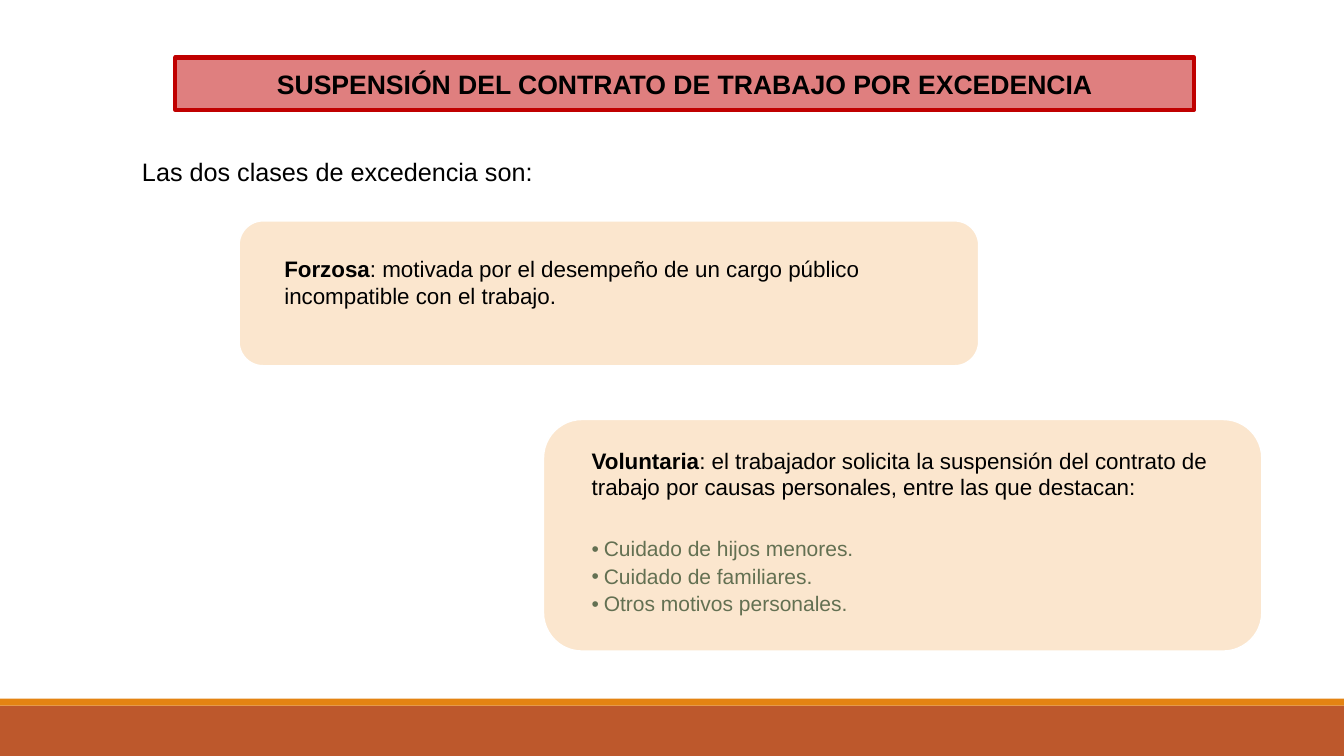
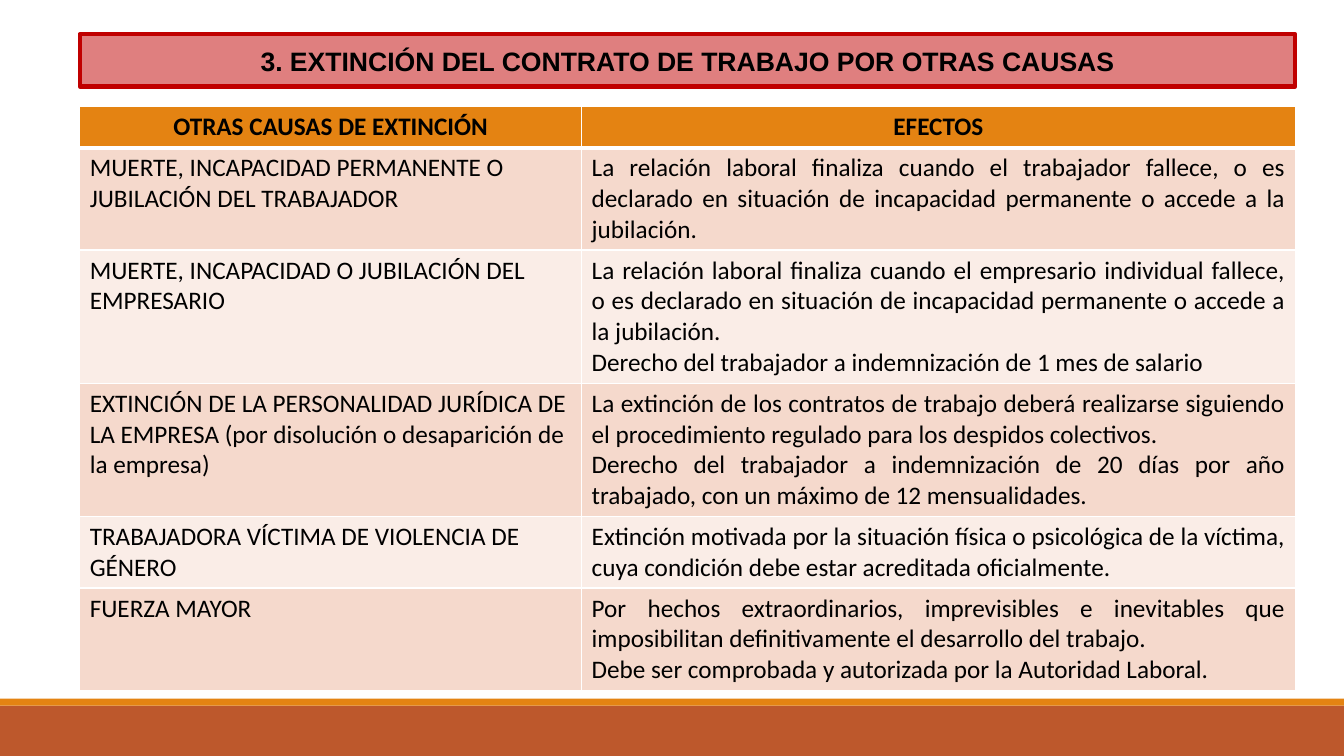
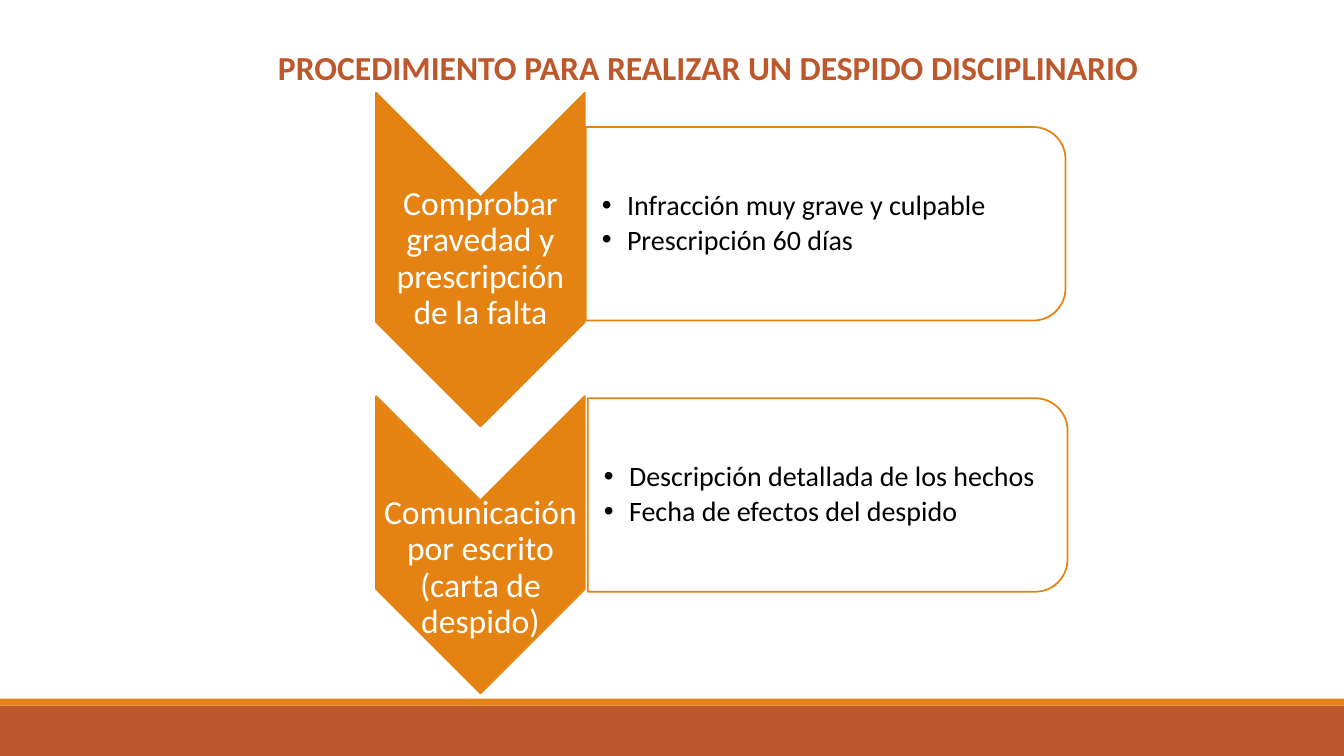
from dataclasses import dataclass

from lxml.etree import SubElement
from pptx import Presentation
from pptx.dml.color import RGBColor
from pptx.enum.shapes import MSO_SHAPE as Preset
from pptx.enum.text import MSO_ANCHOR as Anchor, MSO_AUTO_SIZE as AutoSize, PP_ALIGN as Align
from pptx.oxml import parse_xml
from pptx.oxml.ns import nsdecls, qn
from pptx.util import Emu, Inches, Pt

BLACK = RGBColor(0x00, 0x00, 0x00)
WHITE = RGBColor(0xFF, 0xFF, 0xFF)
ORANGE = RGBColor(0xE4, 0x83, 0x12)
RUST = RGBColor(0xBD, 0x58, 0x2C)
RED = RGBColor(0xC0, 0x00, 0x00)
CREAM = RGBColor(0xFB, 0xE6, 0xCE)
GREEN = RGBColor(0x63, 0x70, 0x52)
ROW_DARK = RGBColor(0xF5, 0xD9, 0xCC)
ROW_LIGHT = RGBColor(0xFA, 0xED, 0xE7)

SLIDE_WIDTH = Inches(13.333)
SLIDE_HEIGHT = Inches(7.5)
TWO_CONTENT, TITLE_ONLY = 3, 5
LINE_SHARE, PADDING_SHARE = 4, 1.33


def across(share: float) -> Emu:
    return Emu(round(SLIDE_WIDTH * share / 100))


def down(share: float) -> Emu:
    return Emu(round(SLIDE_HEIGHT * share / 100))


@dataclass(frozen=True)
class Area:
    """Percentages of the slide's width and height."""
    left: float
    top: float
    width: float
    height: float

    def box(self) -> tuple:
        return across(self.left), down(self.top), across(self.width), down(self.height)


@dataclass(frozen=True)
class Cause:
    name: str
    effects: tuple[str, ...]
    lines: int


@dataclass(frozen=True)
class Step:
    arrow: Area
    label_area: Area
    label: str
    panel: Area
    points: tuple[str, ...]


BANDS = ((Area(0, 93.33, 100, 6.67), RUST), (Area(0, 92.4, 100, 0.93), ORANGE))

CAUSES = (
    Cause("MUERTE, INCAPACIDAD PERMANENTE O JUBILACIÓN DEL TRABAJADOR",
          ("La relación laboral finaliza cuando el trabajador fallece, o es declarado en situación "
           "de incapacidad permanente o accede a la jubilación.",), 3),
    Cause("MUERTE, INCAPACIDAD O JUBILACIÓN DEL EMPRESARIO",
          ("La relación laboral finaliza cuando el empresario individual fallece, o es declarado en "
           "situación de incapacidad permanente o accede a la jubilación.",
           "Derecho del trabajador a indemnización de 1 mes de salario"), 4),
    Cause("EXTINCIÓN DE LA PERSONALIDAD JURÍDICA DE LA EMPRESA (por disolución o desaparición de la empresa)",
          ("La extinción de los contratos de trabajo deberá realizarse siguiendo el procedimiento "
           "regulado para los despidos colectivos.",
           "Derecho del trabajador a indemnización de 20 días por año trabajado, con un máximo de "
           "12 mensualidades."), 4),
    Cause("TRABAJADORA VÍCTIMA DE VIOLENCIA DE GÉNERO",
          ("Extinción motivada por la situación física o psicológica de la víctima, cuya condición "
           "debe estar acreditada oficialmente.",), 2),
    Cause("FUERZA MAYOR",
          ("Por hechos extraordinarios, imprevisibles e inevitables que imposibilitan "
           "definitivamente el desarrollo del trabajo.",
           "Debe ser comprobada y autorizada por la Autoridad Laboral."), 3),
)

STEPS = (
    Step(Area(27.98, 12.27, 15.53, 44.13), Area(27.98, 26, 15.53, 16.53),
         "Comprobar gravedad y prescripción de la falta", Area(43.58, 16.8, 35.7, 25.6),
         ("Infracción muy grave y culpable", "Prescripción 60 días")),
    Step(Area(27.98, 52.4, 15.53, 39.33), Area(27.98, 69.2, 15.53, 11.87),
         "Comunicación por escrito (carta de despido)", Area(43.73, 52.67, 35.7, 25.6),
         ("Descripción detallada de los hechos", "Fecha de efectos del despido")),
)


def add_para(frame, text: str, *, lead: str = "", font: str = "Calibri", size: float = 18,
             color: RGBColor = BLACK, bold: bool = False, align=Align.LEFT,
             spacing: float = 1, after: float = 0, bullet: float = 0) -> None:
    para = frame.paragraphs[0]
    if para.runs:
        para = frame.add_paragraph()
    props = para._p.get_or_add_pPr()
    props.set("marL", str(Inches(bullet)))
    props.set("indent", str(-Inches(bullet)))
    if bullet:
        SubElement(props, qn("a:buFont")).set("typeface", "Arial")
        SubElement(props, qn("a:buChar")).set("char", "•")
    else:
        SubElement(props, qn("a:buNone"))
    para.alignment = align
    para.line_spacing = spacing
    para.space_before = Pt(0)
    para.space_after = Pt(after)
    for words, heavy in ((lead, True), (text, bold)):
        if words:
            span = para.add_run()
            span.text = words
            span.font.name = font
            span.font.size = Pt(size)
            span.font.bold = heavy
            span.font.color.rgb = color


def set_frame(box, anchor=Anchor.MIDDLE, inset: tuple = (0.1, 0.05)):
    frame = box.text_frame
    frame.word_wrap = True
    frame.auto_size = AutoSize.NONE
    frame.vertical_anchor = anchor
    frame.margin_left = frame.margin_right = Inches(inset[0])
    frame.margin_top = frame.margin_bottom = Inches(inset[1])
    return frame


def place(box, area: Area) -> None:
    box.left, box.top, box.width, box.height = area.box()


def add_text_box(page, area: Area, anchor=Anchor.MIDDLE, inset: tuple = (0.1, 0.05)):
    return set_frame(page.shapes.add_textbox(*area.box()), anchor, inset)


def use_body(page, index: int, area: Area, anchor=Anchor.MIDDLE, inset: tuple = (0.21, 0)):
    body = page.placeholders[index]
    place(body, area)
    page.shapes._spTree.append(body._element)
    return set_frame(body, anchor, inset)


def set_line(shape, color: RGBColor, width: float) -> None:
    shape.line.color.rgb = color
    shape.line.width = Pt(width)


def add_panel(page, preset, area: Area, fill: RGBColor, line: RGBColor | None = None,
              turned: bool = False):
    left, top, width, height = area.box()
    if turned:
        shift = (width - height) // 2
        left, top, width, height = left + shift, top - shift, height, width
    shape = page.shapes.add_shape(preset, left, top, width, height)
    shape.rotation = 90 if turned else 0
    shape.shadow.inherit = False
    shape.fill.solid()
    shape.fill.fore_color.rgb = fill
    if line is None:
        shape.line.fill.background()
    else:
        set_line(shape, line, 1.25)
    return shape


def add_bands(deck, page) -> None:
    for number, (area, color) in enumerate(BANDS, start=101):
        band = add_panel(page, Preset.RECTANGLE, area, color)
        band._element.nvSpPr.cNvPr.set("id", str(number))
        deck.slide_master.shapes._spTree.append(band._element)


def set_title(page, text: str, area: Area, **style) -> None:
    title = page.shapes.title
    place(title, area)
    add_para(set_frame(title), text, bold=True, align=Align.CENTER, **style)


def set_framed_title(page, text: str, area: Area) -> None:
    set_title(page, text, area, font="Arial", size=19)
    title = page.shapes.title
    outline = parse_xml(f'<a:prstGeom {nsdecls("a")} prst="roundRect"><a:avLst/></a:prstGeom>')
    title._element.spPr.find(qn("a:xfrm")).addnext(outline)
    title.fill.solid()
    title.fill.fore_color.rgb = RED
    tint = title._element.spPr.find(qn("a:solidFill"))[0]
    SubElement(tint, qn("a:alpha")).set("val", "50000")
    set_line(title, RED, 3)


def fill_cell(cell, fill: RGBColor, bottom: float = 1) -> None:
    cell.fill.solid()
    cell.fill.fore_color.rgb = fill
    props = cell._tc.get_or_add_tcPr()
    for order, (side, width) in enumerate((("L", 1), ("R", 1), ("T", 1), ("B", bottom))):
        props.insert(order, parse_xml(
            f'<a:ln{side} {nsdecls("a")} w="{Pt(width)}"><a:solidFill>'
            f'<a:srgbClr val="{WHITE}"/></a:solidFill></a:ln{side}>'))


def build_leave(page) -> None:
    set_framed_title(page, "SUSPENSIÓN DEL CONTRATO DE TRABAJO POR EXCEDENCIA",
                     Area(13.05, 7.6, 75.8, 6.93))
    intro = add_text_box(page, Area(9.83, 17.6, 35.18, 6.93), Anchor.TOP)
    add_para(intro, "Las dos clases de excedencia son:", font="Arial", align=Align.JUSTIFY,
             spacing=1.6)
    for card in (Area(17.78, 29.2, 55.05, 19.2), Area(40.43, 55.47, 53.47, 30.67)):
        add_panel(page, Preset.ROUNDED_RECTANGLE, card, CREAM, WHITE)
    style = {"font": "Arial", "spacing": 0.97}
    forced = use_body(page, 1, Area(19.58, 29.6, 54.22, 15.73))
    add_para(forced, ": motivada por el desempeño de un cargo público incompatible con el trabajo.",
             lead="Forzosa", size=16, **style)
    voluntary = use_body(page, 2, Area(42.45, 59.33, 52.72, 25.33), Anchor.TOP)
    add_para(voluntary, ": el trabajador solicita la suspensión del contrato de trabajo por causas "
             "personales, entre las que destacan:", lead="Voluntaria", size=16, after=26, **style)
    for reason in ("Cuidado de hijos menores.", "Cuidado de familiares.",
                   "Otros motivos personales."):
        add_para(voluntary, reason, size=15, color=GREEN, after=2.25, bullet=0.12, **style)


def build_causes(page) -> None:
    set_framed_title(page, "3. EXTINCIÓN DEL CONTRATO DE TRABAJO POR OTRAS CAUSAS",
                     Area(5.93, 4.53, 90.45, 6.93))
    heights = [PADDING_SHARE + LINE_SHARE * lines for lines in (1, *(c.lines for c in CAUSES))]
    area = Area(5.93, 14.13, 90.45, sum(heights))
    table = page.shapes.add_table(len(heights), 2, *area.box()).table
    for column, share in zip(table.columns, (37.35, 53.1)):
        column.width = across(share)
    for row, share in zip(table.rows, heights):
        row.height = down(share)
    for cell, heading in zip(table.rows[0].cells, ("OTRAS CAUSAS DE EXTINCIÓN", "EFECTOS")):
        fill_cell(cell, ORANGE, bottom=3)
        add_para(cell.text_frame, heading, bold=True, align=Align.CENTER)
    for number, cause in enumerate(CAUSES, start=1):
        name_cell, effect_cell = table.rows[number].cells
        for cell in (name_cell, effect_cell):
            fill_cell(cell, ROW_DARK if number % 2 else ROW_LIGHT)
        add_para(name_cell.text_frame, cause.name)
        for effect in cause.effects:
            add_para(effect_cell.text_frame, effect, align=Align.JUSTIFY)


def build_procedure(page) -> None:
    set_title(page, "PROCEDIMIENTO PARA REALIZAR UN DESPIDO DISCIPLINARIO",
              Area(10.28, 5.47, 84.82, 6.67), size=24, color=RUST)
    for index, step in enumerate(STEPS, start=1):
        add_panel(page, Preset.CHEVRON, step.arrow, ORANGE, ORANGE, turned=True)
        label = add_text_box(page, step.label_area, inset=(0.02, 0.02))
        add_para(label, step.label, size=24, color=WHITE, align=Align.CENTER, spacing=0.9)
        add_panel(page, Preset.ROUND_2_SAME_RECTANGLE, step.panel, WHITE, ORANGE, turned=True)
        points = use_body(page, index, step.panel, inset=(0.16, 0.01))
        for point in step.points:
            add_para(points, point, size=20, spacing=0.9, after=3, bullet=0.25)


def main() -> None:
    deck = Presentation()
    deck.slide_width, deck.slide_height = SLIDE_WIDTH, SLIDE_HEIGHT
    plans = ((TWO_CONTENT, build_leave), (TITLE_ONLY, build_causes),
             (TWO_CONTENT, build_procedure))
    for number, (layout, build) in enumerate(plans):
        page = deck.slides.add_slide(deck.slide_layouts[layout])
        if number == 0:
            add_bands(deck, page)
        build(page)
    deck.save("out.pptx")


if __name__ == "__main__":
    main()
